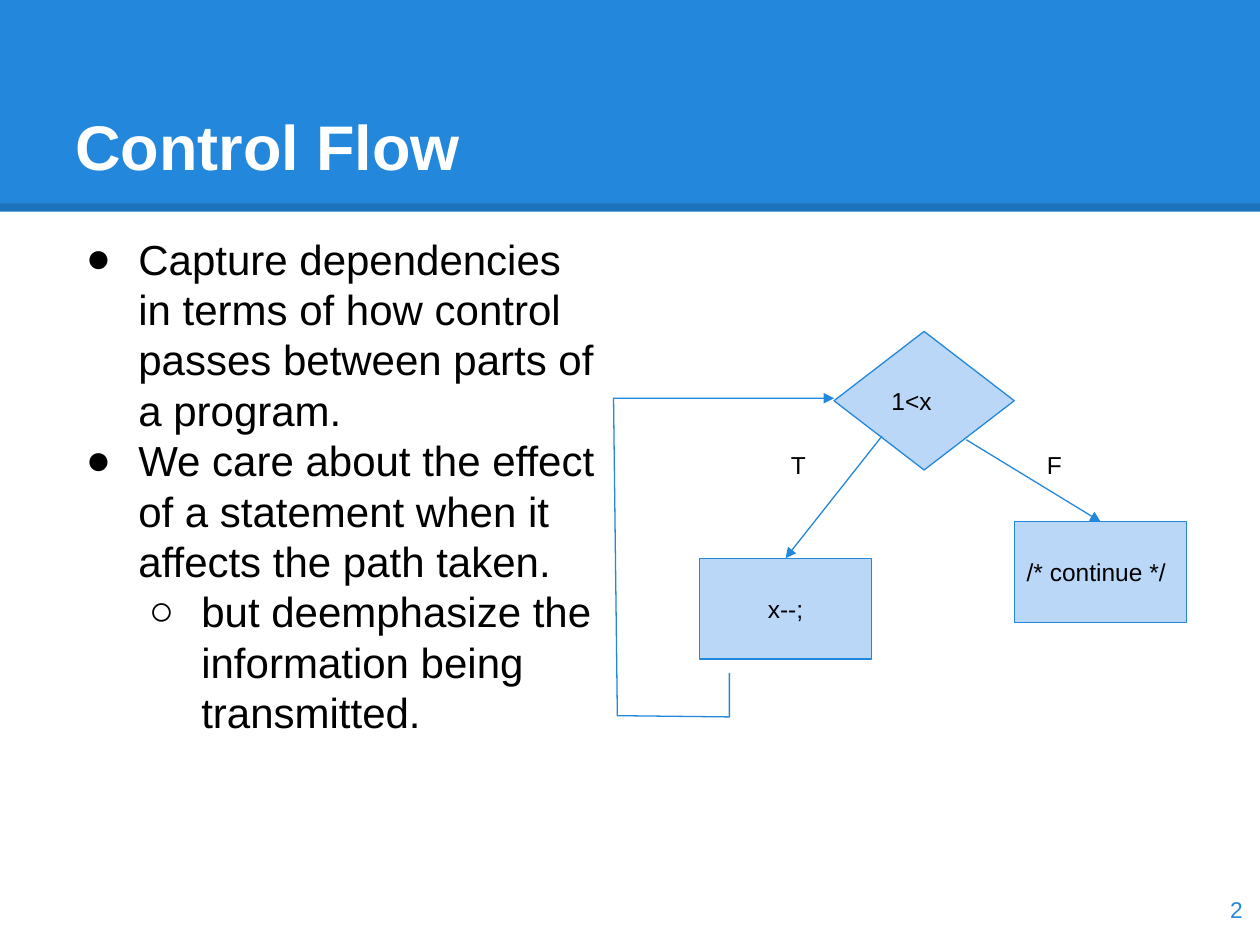
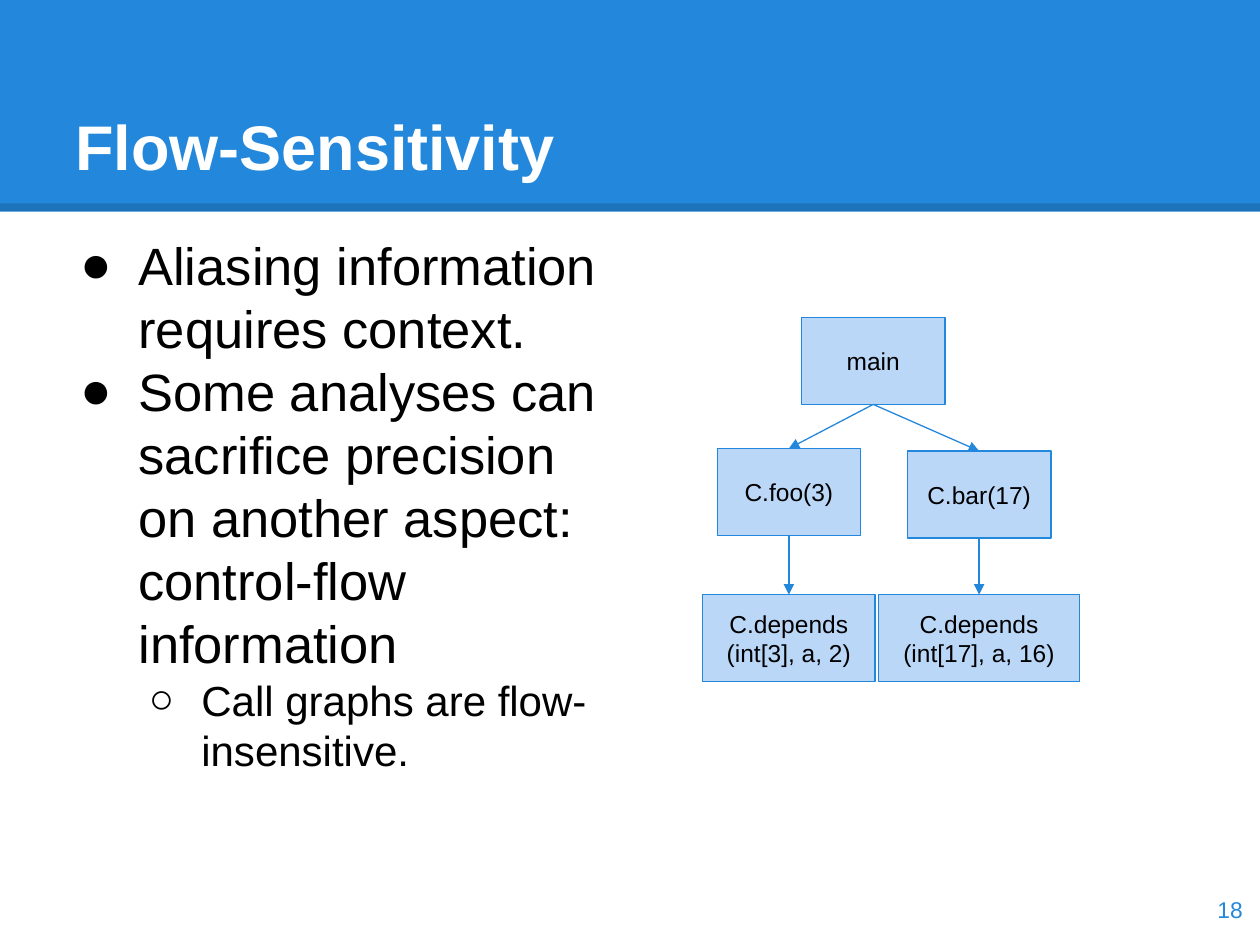
from pptx import Presentation
from pptx.dml.color import RGBColor
from pptx.enum.shapes import MSO_CONNECTOR, MSO_SHAPE
from pptx.enum.text import MSO_ANCHOR, PP_ALIGN
from pptx.oxml.ns import qn
from pptx.util import Pt
from lxml.etree import SubElement

BLUE, PALE, WHITE, BLACK = "2388DB", "BBD7F8", "FFFFFF", "000000"
WIDTH, HEIGHT = 720, 540
TITLE_FORMAT = {"size": Pt(36), "bold": True}
LABEL_FORMAT = {"size": Pt(14)}
NUMBER_FORMAT = {"size": Pt(13)}
FRAME_FORMAT = {"word_wrap": True, "margin_left": Pt(7.2), "margin_right": Pt(7.2),
                "margin_top": Pt(7.2), "margin_bottom": Pt(7.2)}
TOP, BOTTOM = 0, 2


def rgb(hex_text):
    """Turn a hex string into a colour."""
    return RGBColor.from_string(hex_text)


def apply(target, values):
    """Set every attribute named in values on target."""
    for name, value in values.items():
        setattr(target, name, value)


def points(*lengths):
    """Convert numbers to point lengths."""
    return [Pt(length) for length in lengths]


def write(paragraph, text, font_format, color=BLACK, align=PP_ALIGN.LEFT):
    """Fill a paragraph with text in one format."""
    paragraph.text = text
    line_height = Pt(font_format["size"].pt * 1.2)
    apply(paragraph, {"alignment": align, "line_spacing": line_height})
    for run in paragraph.runs:
        apply(run.font, {"name": "Arial", **font_format})
        run.font.color.rgb = rgb(color)


def add_text(slide, box, text, font_format, color=BLACK,
             align=PP_ALIGN.LEFT, anchor=MSO_ANCHOR.TOP):
    """Place a single-paragraph text box."""
    frame = slide.shapes.add_textbox(*points(*box)).text_frame
    apply(frame, {**FRAME_FORMAT, "vertical_anchor": anchor})
    write(frame.paragraphs[0], text, font_format, color, align)


def add_node(slide, box, text, shape=MSO_SHAPE.RECTANGLE, align=PP_ALIGN.CENTER):
    """Place one outlined, labelled node of a diagram."""
    node = slide.shapes.add_shape(shape, *points(*box))
    node.shadow.inherit = False
    node.fill.solid()
    node.fill.fore_color.rgb = rgb(PALE)
    stroke(node.line)
    apply(node.text_frame, {**FRAME_FORMAT, "vertical_anchor": MSO_ANCHOR.MIDDLE})
    write(node.text_frame.paragraphs[0], text, LABEL_FORMAT, align=align)
    return node


def stroke(line, color=BLUE, width=0.75):
    """Colour a line and set its width."""
    line.color.rgb = rgb(color)
    line.width = Pt(width)


def add_arrowhead(shape):
    """Put a triangle at the end of a line."""
    SubElement(shape.line._get_or_add_ln(), qn("a:tailEnd"), type="triangle")


def add_line(slide, start, end, color=BLUE, width=0.75):
    """Draw a straight line without a shadow."""
    line = slide.shapes.add_connector(MSO_CONNECTOR.STRAIGHT, *points(*start, *end))
    stroke(line.line, color, width)
    SubElement(line._element.spPr, qn("a:effectLst"))
    return line


def add_arrow(slide, target, source=None, start=(0, 0)):
    """Draw an arrow from a node or a point to the top of a node."""
    arrow = add_line(slide, start, start)
    if source is not None:
        arrow.begin_connect(source, BOTTOM)
    arrow.end_connect(target, TOP)
    add_arrowhead(arrow)


def add_header(slide, box, title):
    """Draw the title band with its dark edge and title."""
    left, top, width, height = box
    band = slide.shapes.add_shape(MSO_SHAPE.RECTANGLE, *points(*box))
    band.shadow.inherit = False
    band.fill.solid()
    band.fill.fore_color.rgb = rgb(BLUE)
    band.line.fill.background()
    edge_y = top + height - 2.5
    edge = add_line(slide, (left, edge_y), (left + width, edge_y), BLACK, 4.5)
    edge_color = next(edge.line._get_or_add_ln().iter(qn("a:srgbClr")))
    SubElement(edge_color, qn("a:alpha"), val="15000")
    add_text(slide, (left + 36, top + 21.6, width - 72, 90), title,
             TITLE_FORMAT, WHITE, anchor=MSO_ANCHOR.BOTTOM)


def add_bullets(slide, box, items):
    """Place a list of (level, size, text) bullets."""
    frame = slide.shapes.add_textbox(*points(*box)).text_frame
    apply(frame, FRAME_FORMAT)
    for index, (level, size, text) in enumerate(items):
        bullet = frame.add_paragraph() if index else frame.paragraphs[0]
        write(bullet, text, {"size": Pt(size)})
        apply(bullet, {"level": level, "space_before": Pt(0 if index else 6)})
        properties = bullet._p.get_or_add_pPr()
        properties.set("marL", str(Pt(36 * (level + 1))))
        properties.set("indent", str(-Pt(33 if size == 30 else 30)))
        SubElement(SubElement(properties, qn("a:buClr")), qn("a:srgbClr"), val=BLACK)
        SubElement(properties, qn("a:buFont"), typeface="Arial")
        SubElement(properties, qn("a:buChar"), char="●○"[level])


def add_loop_chart(slide, box):
    """Draw the flow chart of a loop."""
    left, top, width, height = box
    size = (98.6, 57.6)
    body = add_node(slide, (left + 49, top + 129.6, *size), "x--;")
    after = add_node(slide, (left + 229, top + 108.7, *size), "/* continue */",
                     align=PP_ALIGN.LEFT)
    add_arrow(slide, after, start=(left + 201.6, top + 61.9))
    add_node(slide, (left + 126, top, 103, 79.2), "1<x", MSO_SHAPE.DIAMOND, PP_ALIGN.LEFT)
    add_arrow(slide, body, start=(left + 153.4, top + 59.8))
    for branch, offset in (("T", 94.3), ("F", 240.5)):
        add_text(slide, (left + offset, top + 60.5, 31.7, 21.6), branch, LABEL_FORMAT)
    corners = [(66.2, 195.1), (66.2, height), (2.2, height - 0.7), (0, 38.2), (126, 38.2)]
    route = [tuple(points(left + x, top + y)) for x, y in corners]
    builder = slide.shapes.build_freeform(*route[0])
    builder.add_line_segments(route[1:], close=False)
    back_edge = builder.convert_to_shape()
    back_edge.shadow.inherit = False
    back_edge.fill.background()
    stroke(back_edge.line)
    add_arrowhead(back_edge)


def add_call_graph(slide, box):
    """Draw the call graph below main."""
    left, top, width, height = box
    call_width, call_height = 82, 49.7
    main = add_node(slide, (left + 56.2, top, call_width, call_height), "main")
    calls = [
        (49, 74.9, "C.foo(3)", 98.6, "C.depends\n(int[3], a, 2)"),
        (157.7, 76.3, "C.bar(17)", 115.2, "C.depends\n(int[17], a, 16)"),
    ]
    for center, call_top, caller, callee_width, callee in calls:
        middle = left + center
        call = add_node(slide, (middle - call_width / 2, top + call_top,
                                call_width, call_height), caller)
        depends = add_node(slide, (middle - callee_width / 2, top + height - call_height,
                                   callee_width, call_height), callee)
        add_arrow(slide, call, main)
        add_arrow(slide, depends, call)


def add_content_slide(deck, title, number, items, add_diagram, diagram_box):
    """Build a slide with bullets on the left and a diagram on the right."""
    slide = deck.slides.add_slide(deck.slide_layouts[6])
    add_header(slide, (0, 0, WIDTH, 121), title)
    add_bullets(slide, (36, 126, 314.6, 391), items)
    add_diagram(slide, diagram_box)
    add_text(slide, (674, 499, 43.2, 41), number, NUMBER_FORMAT, BLUE,
             PP_ALIGN.RIGHT, MSO_ANCHOR.MIDDLE)


deck = Presentation()
apply(deck, {"slide_width": Pt(WIDTH), "slide_height": Pt(HEIGHT)})
add_content_slide(deck, "Control Flow", "2", [
    (0, 24, "Capture dependencies in terms of how control passes between parts of a program."),
    (0, 24, "We care about the effect of a statement when it affects the path taken."),
    (1, 24, "but deemphasize the information being transmitted."),
], add_loop_chart, (350.6, 189.4, 327.6, 220.3))
add_content_slide(deck, "Flow-Sensitivity", "18", [
    (0, 30, "Aliasing information requires context."),
    (0, 30, "Some analyses can sacrifice precision on another aspect: control-flow information"),
    (1, 24, "Call graphs are flow-insensitive."),
], add_call_graph, (401.8, 181.4, 215.3, 208.1))
deck.save("out.pptx")
